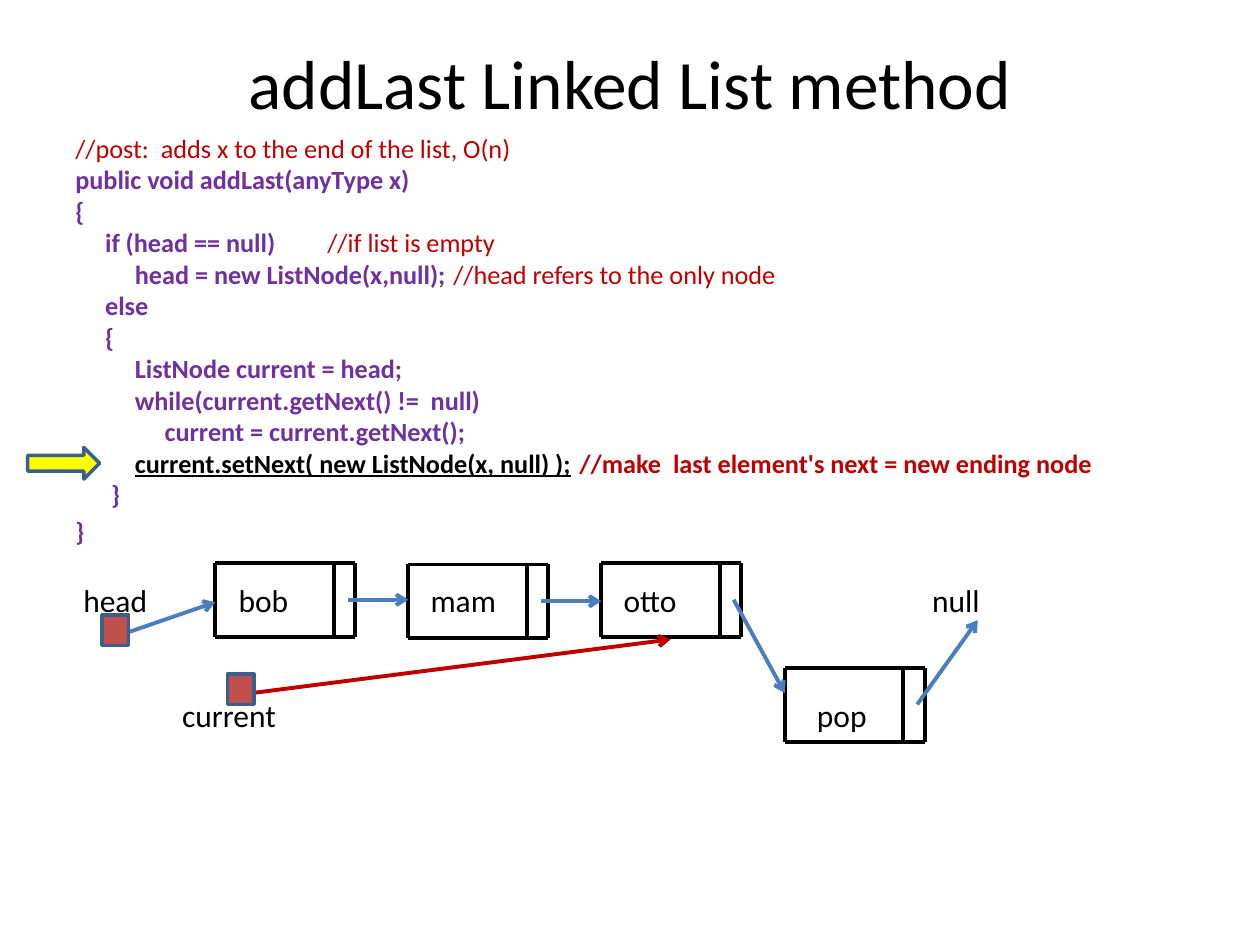
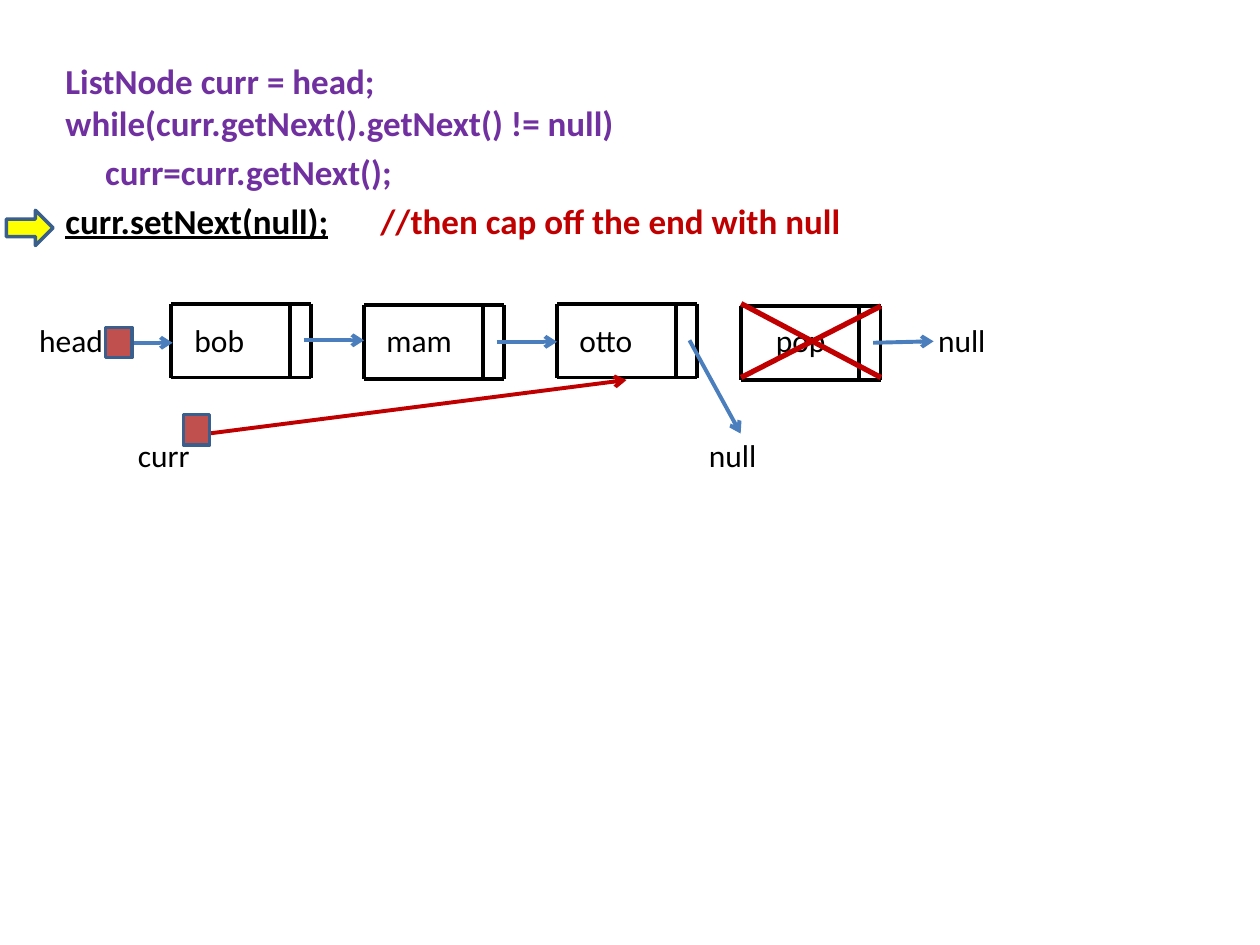
"""Build two slides on adding and removing the last node of a linked list."""
from dataclasses import dataclass

from lxml.etree import SubElement
from pptx import Presentation
from pptx.dml.color import RGBColor as RGB
from pptx.enum.shapes import MSO_CONNECTOR as CONNECTOR, MSO_SHAPE as SHAPE
from pptx.enum.text import MSO_ANCHOR as ANCHOR, PP_ALIGN as ALIGN
from pptx.oxml.ns import qn
from pptx.util import Cm, Pt


@dataclass(frozen=True)
class Theme:
    font: str = "Calibri"
    black: RGB = RGB(0x00, 0x00, 0x00)
    violet: RGB = RGB(0x70, 0x30, 0xA0)
    red: RGB = RGB(0xC0, 0x00, 0x00)
    blue: RGB = RGB(0x4B, 0x7E, 0xBC)
    brick: RGB = RGB(0xC0, 0x50, 0x4D)
    yellow: RGB = RGB(0xFF, 0xFF, 0x00)
    outline: RGB = RGB(0x3A, 0x5F, 0x8C)
    title_size: float = 39.6
    label_size: float = 18
    stroke: float = 2.25
    cross_stroke: float = 3
    outline_stroke: float = 2


theme = Theme()
PLAIN = (theme.black, False, False)
CODE = (theme.violet, True, False)
CURRENT_STEP = (theme.black, True, True)
NOTE = (theme.red, False, False)
STEP_NOTE = (theme.red, True, False)


def write(slide, box, lines, size, pitch=None, tab=None, inset=0.0):
    """Write lines of (indent, space before, runs) into a text box."""
    frame = slide.shapes.add_textbox(*[Cm(length) for length in box]).text_frame
    frame.word_wrap = True
    frame.margin_left = frame.margin_right = Cm(inset)
    frame.margin_top = frame.margin_bottom = Cm(inset / 2)
    for number, (indent, before, runs) in enumerate(lines):
        paragraph = frame.paragraphs[0] if number == 0 else frame.add_paragraph()
        paragraph.space_before = Pt(before)
        if pitch:
            paragraph.line_spacing = Pt(pitch)
        properties = paragraph._p.get_or_add_pPr()
        properties.set("marL", "0")
        properties.set("indent", str(Cm(indent)))
        if any("\t" in words for words, _ in runs):
            stops = SubElement(properties, qn("a:tabLst"))
            stop = tab[number] if number in tab else tab["default"]
            SubElement(stops, qn("a:tab"), pos=str(Cm(stop)), algn="l")
        paragraph.font.name = theme.font
        paragraph.font.size = Pt(size)
        for words, (color, bold, underline) in runs:
            run = paragraph.add_run()
            run.text = words
            run.font.color.rgb = color
            run.font.bold = bold
            run.font.underline = underline
    return frame


def draw_line(slide, origin, start, end, color, width=theme.stroke, arrow=False):
    """Draw a line between two points measured from the origin."""
    points = [Cm(base + offset) for point in (start, end) for base, offset in zip(origin, point)]
    line = slide.shapes.add_connector(CONNECTOR.STRAIGHT, *points)
    line.line.color.rgb = color
    line.line.width = Pt(width)
    if arrow:
        SubElement(line.line._get_or_add_ln(), qn("a:tailEnd"), type="arrow")
    SubElement(line._element.spPr, qn("a:effectLst"))


deck = Presentation()
deck.slide_width, deck.slide_height = Cm(25.4), Cm(19.05)
add_slide, remove_slide = [deck.slides.add_slide(deck.slide_layouts[6]) for _ in range(2)]

title = write(add_slide, (1.27, 0.76, 22.86, 1.78),
              [(0, 0, [("addLast Linked List method", PLAIN)])], theme.title_size)
title.vertical_anchor = ANCHOR.MIDDLE
title.paragraphs[0].alignment = ALIGN.CENTER

step = 0.6
add_code = [
    (0, 0, [("//post:  adds x to the end of the list, O(n)", NOTE)]),
    (0, 0, [("public void addLast(anyType x)", CODE)]),
    (0, 0, [("{", CODE)]),
    (step, 0, [("if (head == null)\t", CODE), ("//if list is empty", NOTE)]),
    (2 * step, 0, [("head = new ListNode(x,null);\t", CODE),
                   ("//head refers to the only node", NOTE)]),
    (step, 0, [("else", CODE)]),
    (step, 0, [("{", CODE)]),
    (2 * step, 0, [("ListNode current = head;", CODE)]),
    (2 * step, 0, [("while(current.getNext() !=  null)", CODE)]),
    (3 * step, 0, [("current = current.getNext();", CODE)]),
    (2 * step, 0, [("current.setNext( new ListNode(x, null) );\t", CURRENT_STEP),
                   ("//make  last element's next = new ending node", STEP_NOTE)]),
    (1.2 * step, 0, [("}", CODE)]),
    (0, 3, [("}", CODE)]),
]
write(add_slide, (1.27, 2.54, 22.86, 8.89), add_code, 15, 18,
      tab={3: 12.7, "default": 10.16}, inset=0.25)

remove_code = [
    (0, 0, [("ListNode curr = head;", CODE)]),
    (0, 0, [("while(curr.getNext().getNext() != null)", CODE)]),
    (0.8, 4, [("curr=curr.getNext();", CODE)]),
    (0, 4, [("curr.setNext(null);", CURRENT_STEP), ("\t", CODE),
            ("//then cap off the end with null", STEP_NOTE)]),
]
write(remove_slide, (1.07, 1.07, 22.86, 12.57), remove_code, 20, 24,
      tab={"default": 12.7}, inset=0.25)

node_width, node_height, node_pitch, divider = 2.82, 1.49, 3.89, 2.39
link_x, link_y = 2.67, 0.74
upper_row, lower_row = 0.36, 2.68
node_edges = [
    ((0, 0), (node_width, 0)),
    ((0, node_height), (node_width, node_height)),
    ((divider, 0), (divider, node_height)),
    ((node_width, 0), (node_width, node_height)),
    ((0, 0), (0, node_height)),
]
pop_x = 11.48
chain = [(0, 0), (node_pitch, 0.03), (2 * node_pitch, 0)]
shared_labels = [("head", -2.66, upper_row), ("bob", 0.47, upper_row),
                 ("mam", 4.34, upper_row), ("otto", 8.23, upper_row)]
shared_arrows = [((x + link_x, y + link_y), (x + node_pitch, y + link_y)) for x, y in chain[:2]]
shared_arrows.append(((2 * node_pitch + link_x, link_y), (pop_x, 2.62)))

diagrams = [
    (add_slide, (4.34, 11.35), 2.11,
     [("current", -0.67, lower_row), ("pop", 12.13, lower_row), ("null", 14.45, upper_row)],
     [((-2, 1.48), (0, 0.79)), ((14.15, 2.85), (15.37, 1.15))],
     (-2.28, 1.05), (0.56, 9.02, 1.45, 0.64)),
    (remove_slide, (3.45, 6.12), 0.05,
     [("curr", -0.67, lower_row), ("pop", 12.19, upper_row),
      ("null", 15.46, upper_row), ("null", 10.84, lower_row)],
     [((-1.19, 0.79), (0.03, 0.79)), ((14.15, 0.79), (15.37, 0.76))],
     (-1.32, 0.48), (0.13, 4.24, 0.94, 0.71)),
]

for slide, (left, top), pop_y, labels, arrows, head_square, step_marker in diagrams:
    for x, y in chain + [(pop_x, pop_y)]:
        for start, end in node_edges:
            draw_line(slide, (left + x, top + y), start, end, theme.black)
    for start, end in shared_arrows + arrows:
        draw_line(slide, (left, top), start, end, theme.blue, arrow=True)
    for words, x, y in shared_labels + labels:
        write(slide, (left + x, top + y, 2.6, 0.78), [(0, 0, [(words, PLAIN)])], theme.label_size)
    draw_line(slide, (left, top), (0.75, 2.62), (9.18, 1.54), theme.red, arrow=True)

    squares = [(left + x, top + y, 0.53, 0.61) for x, y in (head_square, (0.25, 2.24))]
    markers = [(SHAPE.RECTANGLE, square, theme.brick) for square in squares]
    markers.append((SHAPE.RIGHT_ARROW, step_marker, theme.yellow))
    for kind, box, color in markers:
        marker = slide.shapes.add_shape(kind, *[Cm(length) for length in box])
        marker.shadow.inherit = False
        marker.fill.solid()
        marker.fill.fore_color.rgb = color
        marker.line.color.rgb = theme.outline
        marker.line.width = Pt(theme.outline_stroke)

pop_corner = (14.94, 6.12)
for start_y, end_y in ((0, node_height), (node_height, 0.05)):
    draw_line(remove_slide, pop_corner, (0, start_y), (node_width, end_y),
              theme.red, theme.cross_stroke)

deck.save("out.pptx")
